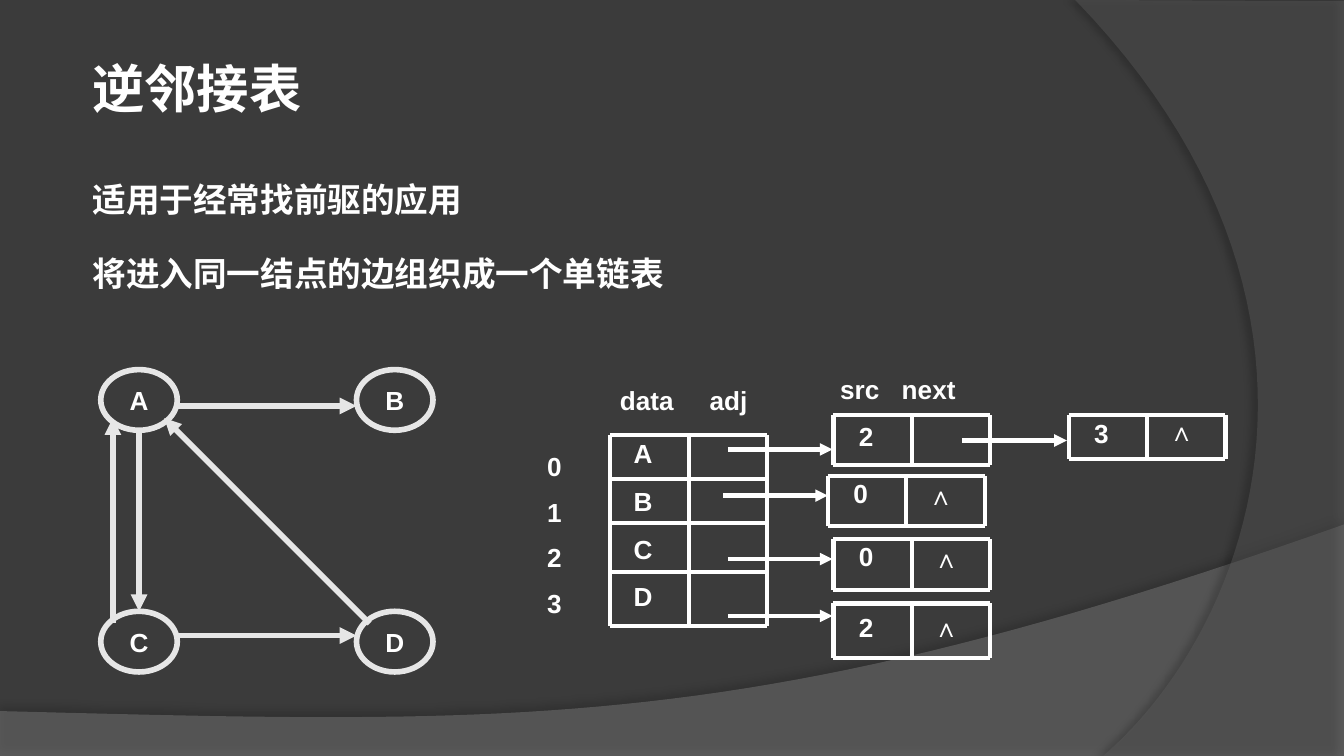
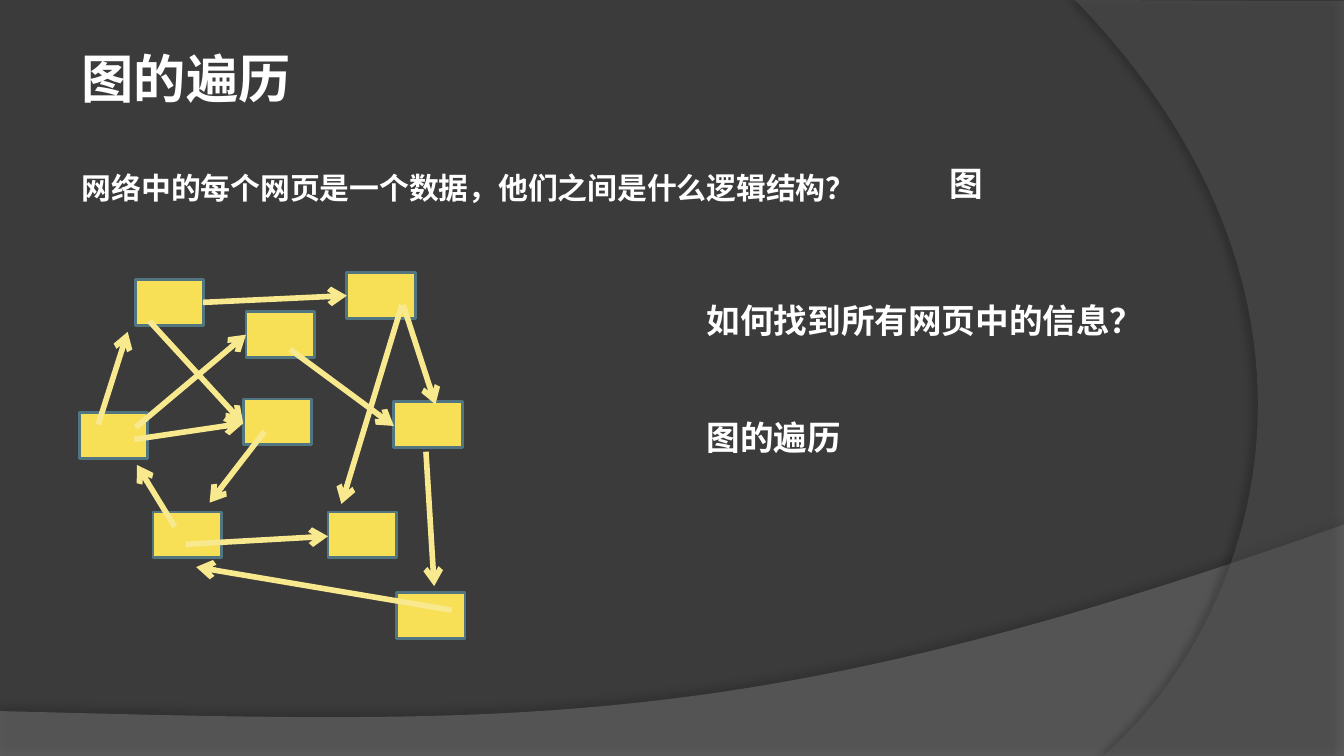
from dataclasses import dataclass
from itertools import pairwise

from lxml.etree import SubElement
from pptx import Presentation
from pptx.dml.color import RGBColor
from pptx.enum.shapes import MSO_CONNECTOR, MSO_SHAPE
from pptx.enum.text import MSO_ANCHOR, PP_ALIGN
from pptx.oxml.ns import qn
from pptx.util import Pt


@dataclass(frozen=True)
class Theme:
    background: str = "3B3B3B"
    lower_band: str = "7F7F7F"
    right_band: str = "5E5E5E"
    shadow: str = "000000"
    white: str = "FFFFFF"
    graph_line: str = "E6E6E6"
    web_page: str = "F7DF56"
    web_border: str = "517682"
    web_link: str = "F9E98E"
    chinese: str = "Noto Sans CJK SC"
    latin: str = "Arial"
    title: int = 28
    body: int = 18
    question: int = 16
    label: int = 14
    heavy: float = 3
    medium: float = 2.25
    thin: float = 1.5


THEME = Theme()
WIDTH, HEIGHT = 720, 405


def color(value):
    return RGBColor.from_string(value)


def points(*values):
    return [Pt(value) for value in values]


def curve(start, first, second, end, steps=48):
    """Points along a cubic curve, without its start."""
    result = []
    for step in range(1, steps + 1):
        t = step / steps
        weights = ((1 - t) ** 3, 3 * t * (1 - t) ** 2, 3 * t * t * (1 - t), t ** 3)
        corners = (start, first, second, end)
        result.append(tuple(sum(w * c[axis] for w, c in zip(weights, corners))
                            for axis in (0, 1)))
    return result


def write_text(frame, text, size=THEME.label, font=THEME.latin, align=PP_ALIGN.LEFT,
               spacing=None, before=0):
    """Fill a text frame, one paragraph for each line of text."""
    frame.word_wrap = True
    for index, line in enumerate(text.split("\n")):
        para = frame.add_paragraph() if index else frame.paragraphs[0]
        para.alignment = align
        if spacing:
            para.line_spacing = spacing
        if index and before:
            para.space_before = Pt(before)
        span = para.add_run()
        span.text = line
        span.font.size = Pt(size)
        span.font.bold = True
        span.font.name = font
        span.font.color.rgb = color(THEME.white)
        SubElement(span.font._element, qn("a:ea"), typeface=font)


class Painter:
    """Holds the theme and the slide being drawn."""

    def __init__(self, deck, theme):
        self.deck = deck
        self.theme = theme
        self.slide = None

    def start_slide(self, title, left, top):
        theme = self.theme
        self.slide = self.deck.slides.add_slide(self.deck.slide_layouts[6])
        fill = self.slide.background.fill
        fill.solid()
        fill.fore_color.rgb = color(theme.background)
        lower = [(0, 381), (0, HEIGHT), (WIDTH, HEIGHT), (WIDTH, 281)]
        lower += curve(lower[-1], (402.5, 393.8), (281.5, 388.1), (0, 381))
        self.band(lower, theme.lower_band, 45, shadow=(35, 4, 3.5, 270))
        right = [(WIDTH, 0.7), (WIDTH, HEIGHT), (591, HEIGHT)]
        right += curve(right[-1], (673, 334), (733, 162), (576, 0))
        self.band(right, theme.right_band, 40, shadow=(45, 4, 4, 180))
        self.text(title, left, top, 391, 41, size=theme.title, font=theme.chinese)

    def band(self, outline, fill, opacity, shadow):
        builder = self.slide.shapes.build_freeform(*points(*outline[0]))
        builder.add_line_segments([points(*corner) for corner in outline[1:]])
        shape = builder.convert_to_shape()
        shape.fill.solid()
        shape.fill.fore_color.rgb = color(fill)
        shape.line.fill.background()
        shape.shadow.inherit = False
        properties = shape._element.spPr
        fill_color = properties.find(qn("a:solidFill"))[0]
        SubElement(fill_color, qn("a:alpha"), val=str(opacity * 1000))
        strength, blur, distance, angle = shadow
        outer = SubElement(properties.find(qn("a:effectLst")), qn("a:outerShdw"),
                           blurRad=str(Pt(blur)), dist=str(Pt(distance)),
                           dir=str(angle * 60000), algn="ctr", rotWithShape="0")
        shade = SubElement(outer, qn("a:srgbClr"), val=self.theme.shadow)
        SubElement(shade, qn("a:alpha"), val=str(strength * 1000))

    def text(self, text, left, top, width, height, **style):
        box = self.slide.shapes.add_textbox(*points(left, top, width, height))
        write_text(box.text_frame, text, **style)

    def shape(self, kind, left, top, width, height, line, weight, fill=None, text=None):
        shape = self.slide.shapes.add_shape(kind, *points(left, top, width, height))
        shape.shadow.inherit = False
        shape.line.color.rgb = color(line)
        shape.line.width = Pt(weight)
        if fill:
            shape.fill.solid()
            shape.fill.fore_color.rgb = color(fill)
        else:
            shape.fill.background()
        if text:
            frame = shape.text_frame
            frame.margin_top = frame.margin_bottom = 0
            frame.vertical_anchor = MSO_ANCHOR.MIDDLE
            write_text(frame, text, align=PP_ALIGN.CENTER)

    def line(self, start, end, stroke=THEME.white, weight=THEME.medium, head=None):
        connector = self.slide.shapes.add_connector(
            MSO_CONNECTOR.STRAIGHT, *points(*start, *end))
        connector.line.color.rgb = color(stroke)
        connector.line.width = Pt(weight)
        properties = connector._element.spPr
        if head:
            SubElement(properties.find(qn("a:ln")), qn("a:tailEnd"), type=head)
        SubElement(properties, qn("a:effectLst"))

    def cells(self, left, edges, column=42):
        """Two ruled columns with a horizontal line at each edge."""
        for edge in edges:
            self.line((left, edge), (left + 2 * column, edge))
        for top, bottom in pairwise(edges):
            for index in range(3):
                x = left + index * column
                self.line((x, bottom), (x, top))

    def value(self, text, left, top):
        self.text(text, left, top, 35, 24.5, align=PP_ALIGN.CENTER)


def draw_inverse_list(painter):
    theme = painter.theme
    painter.start_slide("逆邻接表", 42.5, 26.6)
    for text, top in (("适用于经常找前驱的应用", 83.5),
                      ("将进入同一结点的边组织成一个单链表", 123.5)):
        painter.text(text, 42.5, top, 663, 38, size=theme.body,
                     font=theme.chinese, spacing=1.4)

    # Directed graph
    for index, name in enumerate("ABCD"):
        row, column = divmod(index, 2)
        painter.shape(MSO_SHAPE.OVAL, 54 + 137 * column, 198 + 129.5 * row, 41, 32.5,
                      theme.graph_line, theme.heavy, text=name)
    edges = [((95, 217.5), (191, 217.5)), ((95, 340.5), (191, 340.5)),
             ((74.5, 230.5), (74.5, 327.5)), ((198, 334), (88, 224)),
             ((60.5, 334), (60.5, 224))]
    for start, end in edges:
        painter.line(start, end, theme.graph_line, theme.heavy, "triangle")

    # Vertex table
    painter.text("0\n1\n2\n3", 281, 236, 32, 98.5, align=PP_ALIGN.CENTER,
                 spacing=1.1, before=6)
    painter.cells(327, (233, 256.5, 280.3, 306.5, 335.5))
    for index, name in enumerate("ABCD"):
        painter.value(name, 327, 231 + 25.5 * index)

    # Linked nodes: value, left, top, bottom, top of value, top of end mark
    nodes = [("2", 446.5, 222.5, 249, 221.8, None),
             ("3", 572.5, 222.5, 246, 220.3, 219),
             ("0", 443.5, 255, 282, 252, 253.5),
             ("0", 446.5, 288.7, 316, 285.8, 287.3),
             ("2", 446.5, 323.3, 352.5, 324, 324)]
    for value, left, top, bottom, value_top, mark_top in nodes:
        painter.cells(left, (top, bottom))
        painter.value(value, left, value_top)
        if mark_top:
            painter.text("∧", left + 46.5, mark_top, 33, 24.5)

    # Pointers
    for left, y in ((390, 240.8), (387.5, 265.5), (390, 299.5), (390, 330), (515.5, 236)):
        painter.line((left, y), (left + 56, y), head="triangle")

    # Column names
    for name, left, top in (("data", 325, 202.5), ("adj", 373, 202.5),
                            ("src", 443, 196.5), ("next", 476, 196.5)):
        painter.text(name, left, top, 60, 24.5)


def draw_traversal(painter):
    theme = painter.theme
    painter.start_slide("图的遍历", 36.7, 21)
    painter.text("网络中的每个网页是一个数据，他们之间是什么逻辑结构？", 36.7, 83.5, 442, 30,
                 size=theme.question, font=theme.chinese, spacing=1.2)

    # Web pages
    pages = [(72.5, 149.8), (185.8, 146), (130.3, 213.8), (42.5, 221), (211, 215.3),
             (82, 274.3), (175.7, 274.3), (131.8, 167), (212.4, 317.5)]
    for left, top in pages:
        painter.shape(MSO_SHAPE.RECTANGLE, left, top, 36.7, 24.5,
                      theme.web_border, theme.thin, fill=theme.web_page)

    # Links between pages
    links = [((108.7, 162), (185.8, 158.4)), ((80, 172), (130.3, 226.8)),
             ((155.5, 187.2), (211, 228.2)), ((72.7, 229), (131.8, 179.3)),
             ((72, 235.4), (130.3, 226.8)), ((215.3, 163.4), (182.9, 270)),
             ((99.4, 291.6), (175.7, 287.3)), ((141.8, 231.1), (112.3, 269.3)),
             ((228.2, 242), (232.6, 314)), ((242, 326.9), (105.1, 303.8)),
             ((216, 163.4), (233.3, 216.7)), ((52.6, 227.5), (68.4, 177.8)),
             ((93.6, 282.2), (73.4, 249.1))]
    for start, end in links:
        painter.line(start, end, theme.web_link, theme.heavy, "arrow")

    # Answers
    for text, left, top, width in (("图", 501.8, 83.5, 68),
                                   ("如何找到所有网页中的信息？", 371.5, 157, 238),
                                   ("图的遍历", 371.5, 219.6, 164)):
        painter.text(text, left, top, width, 29, size=theme.body, font=theme.chinese)


def main():
    deck = Presentation()
    deck.slide_width, deck.slide_height = points(WIDTH, HEIGHT)
    painter = Painter(deck, THEME)
    draw_inverse_list(painter)
    draw_traversal(painter)
    deck.save("out.pptx")


if __name__ == "__main__":
    main()
